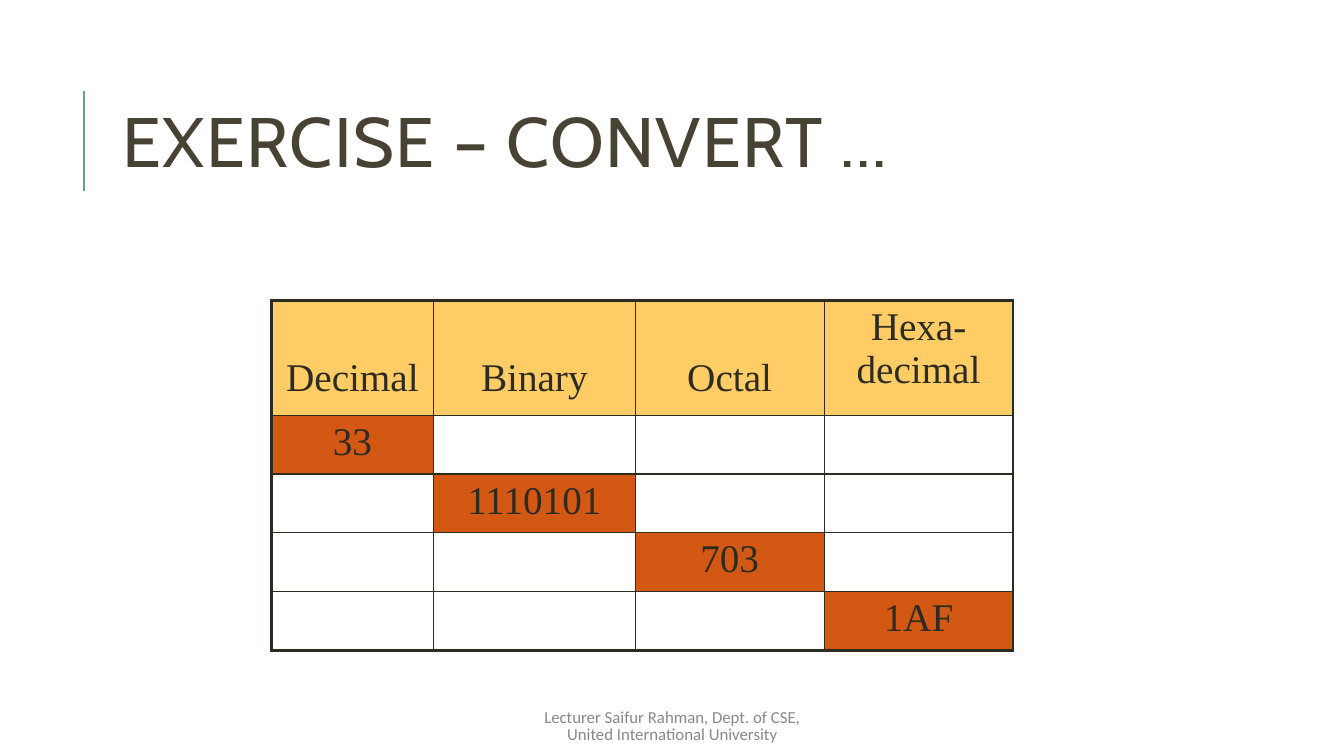
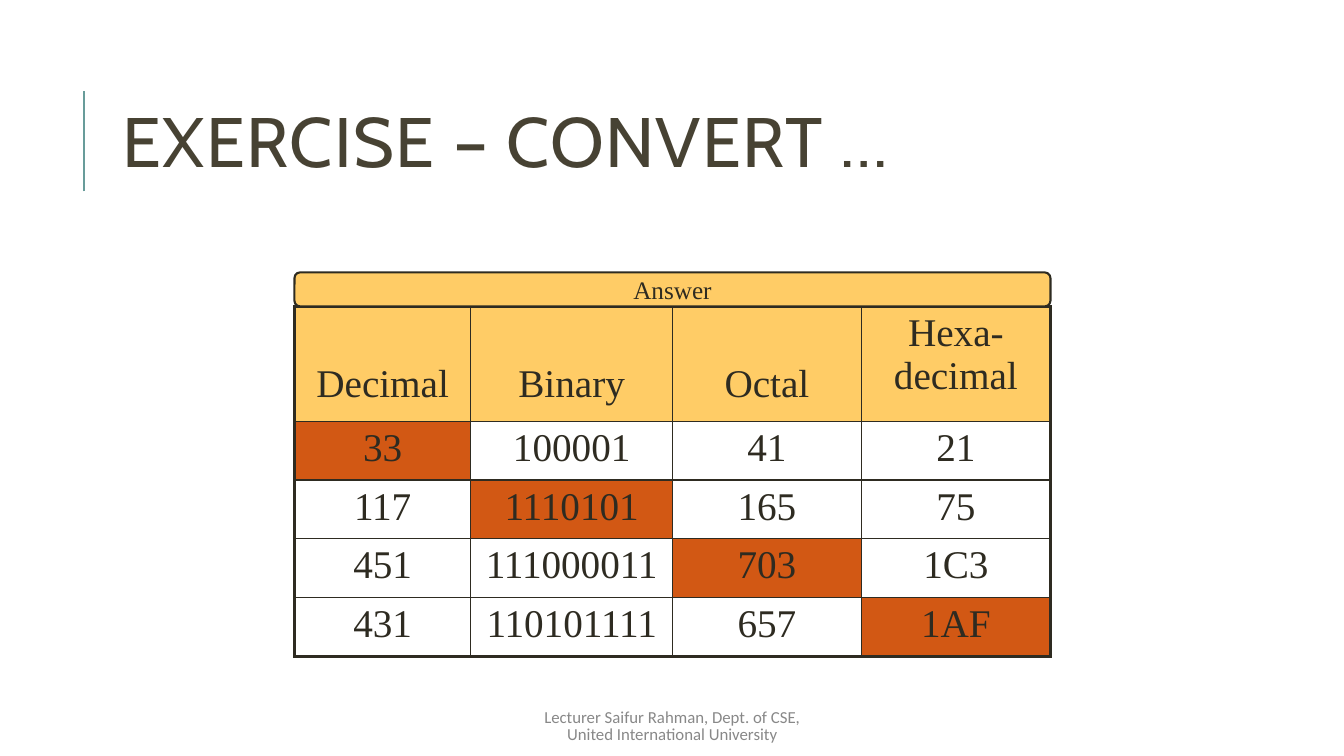
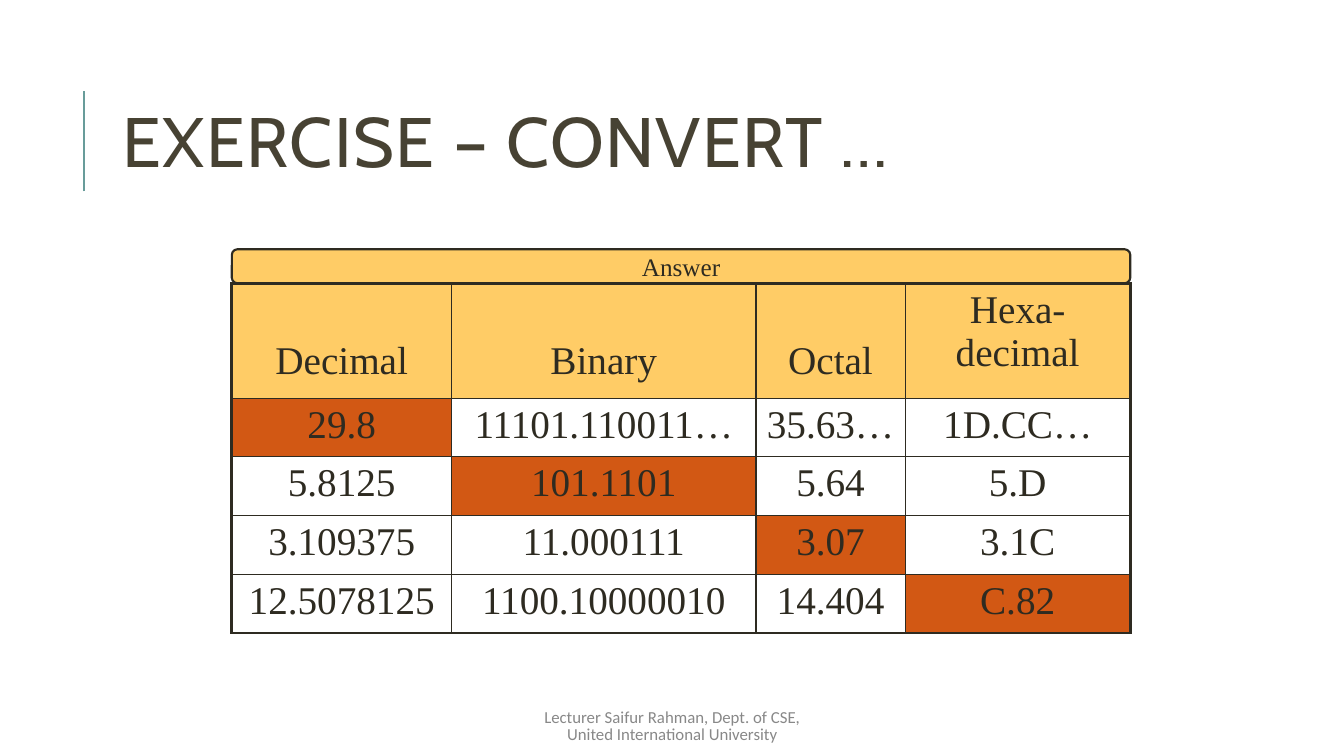
"""Builds three slides of number-base conversion exercises."""
from dataclasses import dataclass

from lxml import etree
from pptx import Presentation
from pptx.dml.color import RGBColor
from pptx.enum.shapes import MSO_CONNECTOR, MSO_SHAPE
from pptx.enum.text import MSO_ANCHOR, PP_ALIGN
from pptx.oxml.ns import qn
from pptx.slide import Slide
from pptx.table import _Cell
from pptx.text.text import TextFrame
from pptx.util import Emu, Inches, Pt

LINE, ROUND = MSO_CONNECTOR.STRAIGHT, MSO_SHAPE.ROUNDED_RECTANGLE
TOP, MID, BASE = MSO_ANCHOR.TOP, MSO_ANCHOR.MIDDLE, MSO_ANCHOR.BOTTOM
LEFT, MIDST = PP_ALIGN.LEFT, PP_ALIGN.CENTER

WIDE, HIGH = Inches(13.33), Inches(7.5)
INK, TITLE, GREY, TEAL = "2E2B21", "474233", "888888", "689C9A"
GOLD, RUST = "FFCC66", "D25814"
SERIF = "Times New Roman"
HEADS = ("Decimal", "Binary", "Octal", "Hexa-\ndecimal")
HEAD, ROW, BAR = 15.2, 7.77, 4.5
THIN, THICK = 1, 2.25
FOOT = "Lecturer Saifur Rahman, Dept. of CSE, United International University"


@dataclass(frozen=True)
class Drill:
    """One exercise; lengths are percent of the slide."""
    title: str
    left: float
    top: float
    cols: tuple[float, ...]
    rows: tuple[tuple[str, ...], ...]
    solved: bool = True


DRILLS = (
    Drill("EXERCISE – CONVERT ...", 20.18, 39.73, (12.08, 15, 14.06, 14.06), (
        ("33", "", "", ""),
        ("", "1110101", "", ""),
        ("", "", "703", ""),
        ("", "", "", "1AF")), solved=False),
    Drill("EXERCISE – CONVERT …", 21.91, 40.53, (13.13, 15, 14.06, 14.06), (
        ("33", "100001", "41", "21"),
        ("117", "1110101", "165", "75"),
        ("451", "111000011", "703", "1C3"),
        ("431", "110101111", "657", "1AF"))),
    Drill("EXERCISE – CONVERT …", 17.25, 37.47, (16.35, 22.65, 11.1, 16.75), (
        ("29.8", "11101.110011…", "35.63…", "1D.CC…"),
        ("5.8125", "101.1101", "5.64", "5.D"),
        ("3.109375", "11.000111", "3.07", "3.1C"),
        ("12.5078125", "1100.10000010", "14.404", "C.82"))),
)


def hue(code: str) -> RGBColor:
    """Turn a hex string into a colour."""
    return RGBColor.from_string(code)


def across(part: float) -> Emu:
    """Give a percentage of the slide width."""
    return Emu(round(WIDE * part / 100))


def down(part: float) -> Emu:
    """Give a percentage of the slide height."""
    return Emu(round(HIGH * part / 100))


def area(x: float, y: float, w: float, h: float) -> tuple[Emu, Emu, Emu, Emu]:
    """Turn percentages into a left, top, width and height."""
    return across(x), down(y), across(w), down(h)


def write(frame: TextFrame, text: str, *, size: float, font: str = SERIF,
          ink: str = INK, align: PP_ALIGN = MIDST,
          lead: float | Pt | None = None, track: int = 0) -> None:
    """Put formatted text into a frame."""
    frame.word_wrap = True
    para = frame.paragraphs[0]
    para.text = text
    para.alignment = align
    para.line_spacing = lead
    for run in para.runs:
        run.font.size, run.font.name, run.font.bold = Pt(size), font, False
        run.font.color.rgb = hue(ink)
        if track:
            run.font._element.set("spc", str(track))


def edge(cell: _Cell, side: str, width: float) -> None:
    """Draw one border of a cell."""
    props = cell._tc.get_or_add_tcPr()
    line = etree.SubElement(props, qn(f"a:ln{side}"), w=str(Pt(width)))
    fill = etree.SubElement(line, qn("a:solidFill"))
    etree.SubElement(fill, qn("a:srgbClr"), val=INK)


def paint(cell: _Cell, code: str | None) -> None:
    """Fill a cell, or leave it clear."""
    if code:
        cell.fill.solid()
        cell.fill.fore_color.rgb = hue(code)
    else:
        cell.fill.background()


def grid(slide: Slide, drill: Drill) -> None:
    """Draw the table, with the given numbers on its diagonal."""
    data = (HEADS, *drill.rows)
    highs = (HEAD, *(ROW for _ in drill.rows))
    spot = area(drill.left, drill.top, sum(drill.cols), sum(highs))
    table = slide.shapes.add_table(len(data), len(HEADS), *spot).table
    table.first_row = table.horz_banding = False
    for col, wide in zip(table.columns, drill.cols):
        col.width = across(wide)
    for row, high in zip(table.rows, highs):
        row.height = down(high)
    for r, line in enumerate(data):
        for c, text in enumerate(line):
            cell = table.cell(r, c)
            rims = {"L": c == 0, "R": c == len(HEADS) - 1,
                    "T": r == 0, "B": r == len(data) - 1}
            for side, rim in rims.items():
                edge(cell, side, THICK if rim else THIN)
            paint(cell, GOLD if r == 0 else RUST if r == c + 1 else None)
            low = r == 0 and "\n" not in text
            cell.vertical_anchor = BASE if low else TOP
            if low:
                cell.margin_bottom = Inches(0.15)
            if text:
                write(cell.text_frame, text, size=28)


def banner(slide: Slide, drill: Drill) -> None:
    """Set the answer bar on top of the table."""
    spot = area(drill.left, drill.top - BAR, sum(drill.cols), BAR)
    bar = slide.shapes.add_shape(ROUND, *spot)
    bar.shadow.inherit = False
    bar.fill.solid()
    bar.fill.fore_color.rgb = hue(GOLD)
    bar.line.color.rgb, bar.line.width = hue(INK), Pt(1.5)
    frame = bar.text_frame
    frame.margin_top = frame.margin_bottom = 0
    frame.vertical_anchor = MID
    write(frame, "Answer", size=18)


def base(slide: Slide, title: str) -> None:
    """Draw the rule, title and footer that all slides share."""
    x = across(6.23)
    rule = slide.shapes.add_connector(LINE, x, down(25.33), x, down(12))
    rule.line.color.rgb, rule.line.width = hue(TEAL), Pt(1.5)
    etree.SubElement(rule._element.spPr, qn("a:effectLst"))
    head = slide.shapes.add_textbox(*area(8.4, 8.53, 79.75, 21.87)).text_frame
    head.vertical_anchor = MID
    write(head, title, size=50, font="Cabin", ink=TITLE, align=LEFT,
          lead=0.8, track=100)
    foot = slide.shapes.add_textbox(*area(39, 93.87, 22.05, 4.53)).text_frame
    foot.margin_left = foot.margin_right = 0
    foot.margin_top = foot.margin_bottom = 0
    write(foot, FOOT, size=12, font="Calibri", ink=GREY, lead=Pt(12.4))


def main() -> None:
    """Build and save the deck."""
    deck = Presentation()
    deck.slide_width, deck.slide_height = WIDE, HIGH
    for drill in DRILLS:
        slide = deck.slides.add_slide(deck.slide_layouts[6])
        base(slide, drill.title)
        grid(slide, drill)
        if drill.solved:
            banner(slide, drill)
    deck.save("out.pptx")


if __name__ == "__main__":
    main()
